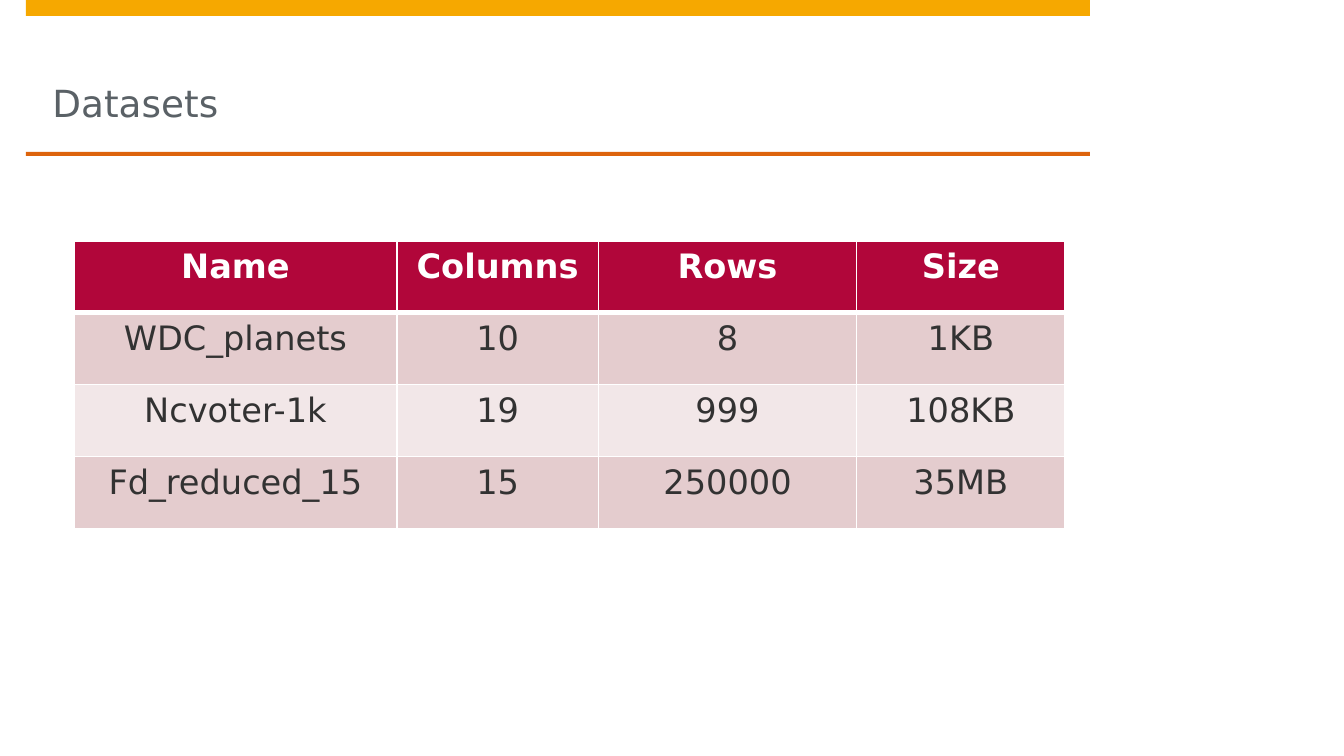
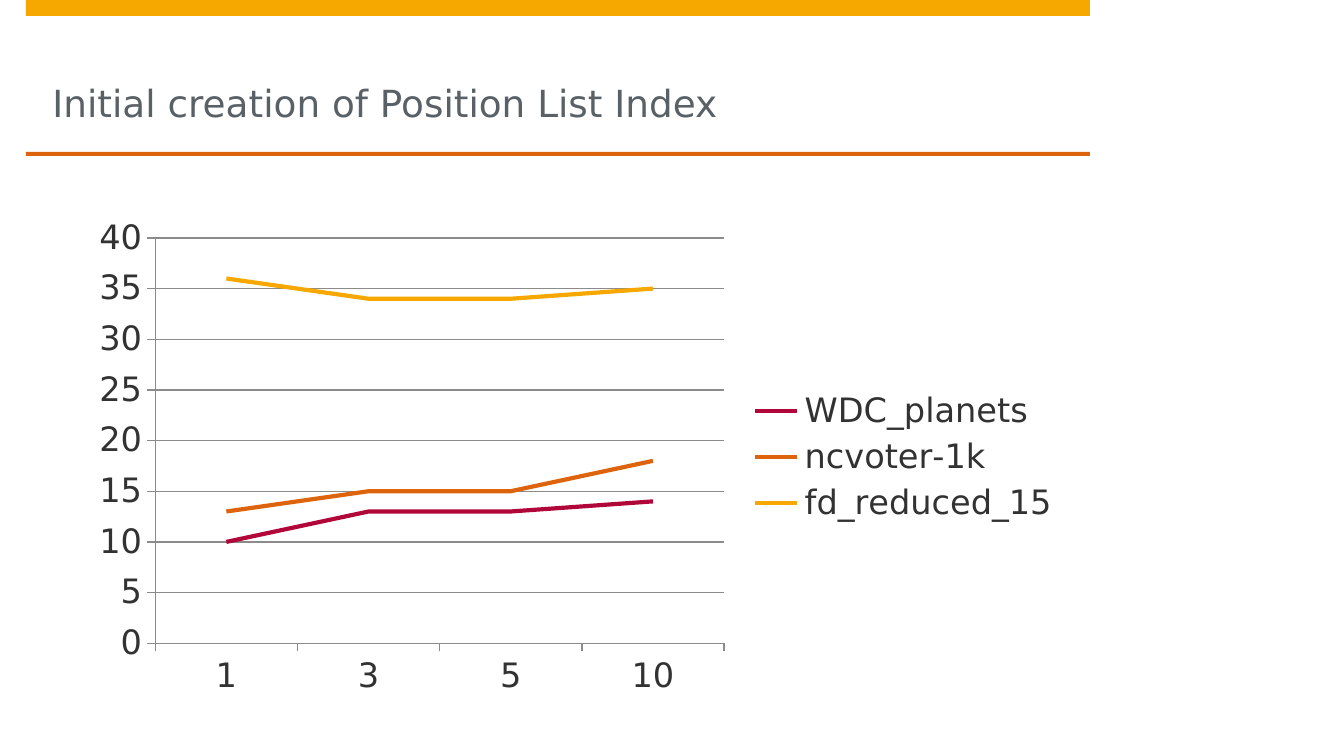
"""Two slides on datasets and index creation times."""
from lxml import etree
from pptx import Presentation
from pptx.chart import data
from pptx.dml.color import RGBColor
from pptx.enum import chart as ch, shapes, text
from pptx.oxml import ns
from pptx.util import Cm, Pt

FONT = "DejaVu Sans"
RED = RGBColor(0xB1, 0x06, 0x3A)
ORANGE = RGBColor(0xDD, 0x64, 0x0C)
GOLD = RGBColor(0xF6, 0xA8, 0x00)
GREY = RGBColor(0x5A, 0x61, 0x66)
DARK = RGBColor(0x32, 0x32, 0x32)
WHITE = RGBColor(0xFF, 0xFF, 0xFF)
ROSE = RGBColor(0xE4, 0xCC, 0xCE)
BLUSH = RGBColor(0xF2, 0xE7, 0xE8)
RULE = RGBColor(0x8B, 0x8B, 0x8B)

HEAD = (Cm(0.49), Cm(0), Cm(20.11), Cm(2.95))
GRID = (Cm(1.4), Cm(4.55), Cm(18.73), Cm(5.44))
PLOT = (Cm(1.5), Cm(3.94), Cm(18.8), Cm(9.4))

COLS = (6.1, 3.81, 4.88, 3.94)
ROWS = (
    ("Name", "Columns", "Rows", "Size"),
    ("WDC_planets", "10", "8", "1KB"),
    ("Ncvoter-1k", "19", "999", "108KB"),
    ("Fd_reduced_15", "15", "250000", "35MB"),
)
CATS = ("1", "3", "5", "10")
LINES = (
    ("WDC_planets", (10, 13, 13, 14), RED),
    ("ncvoter-1k", (13, 15, 15, 18), ORANGE),
    ("fd_reduced_15", (36, 34, 34, 35), GOLD),
)


def style(font, size, color, bold=False):
    """Set the shared typeface with a size, colour and weight."""
    font.name, font.size, font.bold = FONT, Pt(size), bold
    font.color.rgb = color


def add_band(slide, box, color):
    """Draw a plain bar."""
    bar = slide.shapes.add_shape(shapes.MSO_SHAPE.RECTANGLE, *box)
    bar.shadow.inherit = False
    bar.fill.solid()
    bar.fill.fore_color.rgb = color
    bar.line.fill.background()


def add_head(deck, box, words):
    """Start a slide with its top band, title and rule."""
    left, top, width, height = box
    slide = deck.slides.add_slide(deck.slide_layouts[5])
    add_band(slide, (left, top, width, Cm(0.3)), GOLD)
    add_band(slide, (left, top + height - Cm(0.08), width, Cm(0.08)), ORANGE)
    title = slide.shapes.title
    title.left, title.top = left + Cm(0.5), top + Cm(0.3)
    title.width, title.height = width - Cm(1), height - Cm(0.38)
    frame = title.text_frame
    frame.text = words
    frame.word_wrap = True
    frame.auto_size = text.MSO_AUTO_SIZE.NONE
    frame.vertical_anchor = text.MSO_ANCHOR.BOTTOM
    frame.margin_left = frame.margin_top = frame.margin_right = 0
    frame.margin_bottom = Cm(0.5)
    line = frame.paragraphs[0]
    line.alignment = text.PP_ALIGN.LEFT
    style(line.font, 20, GREY)
    return slide


def add_edges(cell, widths):
    """Give a cell white borders, from (side, points) pairs."""
    props = cell._tc.get_or_add_tcPr()
    for side, size in widths:
        edge = etree.SubElement(props, ns.qn(f"a:ln{side}"), w=str(Pt(size)))
        fill = etree.SubElement(edge, ns.qn("a:solidFill"))
        etree.SubElement(fill, ns.qn("a:srgbClr"), val=str(WHITE))


def add_grid(slide, box):
    """Place the table of datasets."""
    table = slide.shapes.add_table(len(ROWS), len(COLS), *box).table
    table.horz_banding = False
    for col, width in zip(table.columns, COLS):
        col.width = Cm(width)
    for r, row in enumerate(ROWS):
        head = r == 0
        fill = RED if head else (BLUSH, ROSE)[r % 2]
        edges = [("L", 1), ("R", 1), ("T", 3 if r == 1 else 1),
                 ("B", 3 if head else 1)]
        for c, words in enumerate(row):
            cell = table.cell(r, c)
            add_edges(cell, edges)
            cell.fill.solid()
            cell.fill.fore_color.rgb = fill
            cell.text = words
            line = cell.text_frame.paragraphs[0]
            line.alignment = text.PP_ALIGN.CENTER
            style(line.font, 18, WHITE if head else DARK, head)


def add_plot(slide, box):
    """Place the line chart with its legend."""
    source = data.CategoryChartData()
    source.categories = CATS
    for name, vals, _ in LINES:
        source.add_series(name, vals)
    chart = slide.shapes.add_chart(ch.XL_CHART_TYPE.LINE, *box, source).chart
    style(chart.font, 18, DARK)
    chart.has_title = False
    chart.has_legend = True
    chart.legend.position = ch.XL_LEGEND_POSITION.RIGHT
    chart.legend.include_in_layout = False
    chart.plots[0].vary_by_categories = False
    for series, (_, _, color) in zip(chart.plots[0].series, LINES):
        series.smooth = False
        series.format.line.width = Pt(2.25)
        series.format.line.color.rgb = color
    scale = chart.value_axis
    scale.minimum_scale, scale.maximum_scale, scale.major_unit = 0, 40, 5
    scale.has_major_gridlines = True
    chart.category_axis.has_major_gridlines = False
    for axis in (scale, chart.category_axis):
        axis.major_tick_mark = ch.XL_TICK_MARK.OUTSIDE
        axis.minor_tick_mark = ch.XL_TICK_MARK.NONE
    for part in (scale, chart.category_axis, scale.major_gridlines):
        part.format.line.width = Pt(0.75)
        part.format.line.color.rgb = RULE


def main():
    """Build and save the deck."""
    deck = Presentation()
    deck.slide_width, deck.slide_height = Cm(25.4), Cm(14.29)
    add_grid(add_head(deck, HEAD, "Datasets"), GRID)
    add_plot(add_head(deck, HEAD, "Initial creation of Position List Index"),
             PLOT)
    deck.save("out.pptx")


main()
